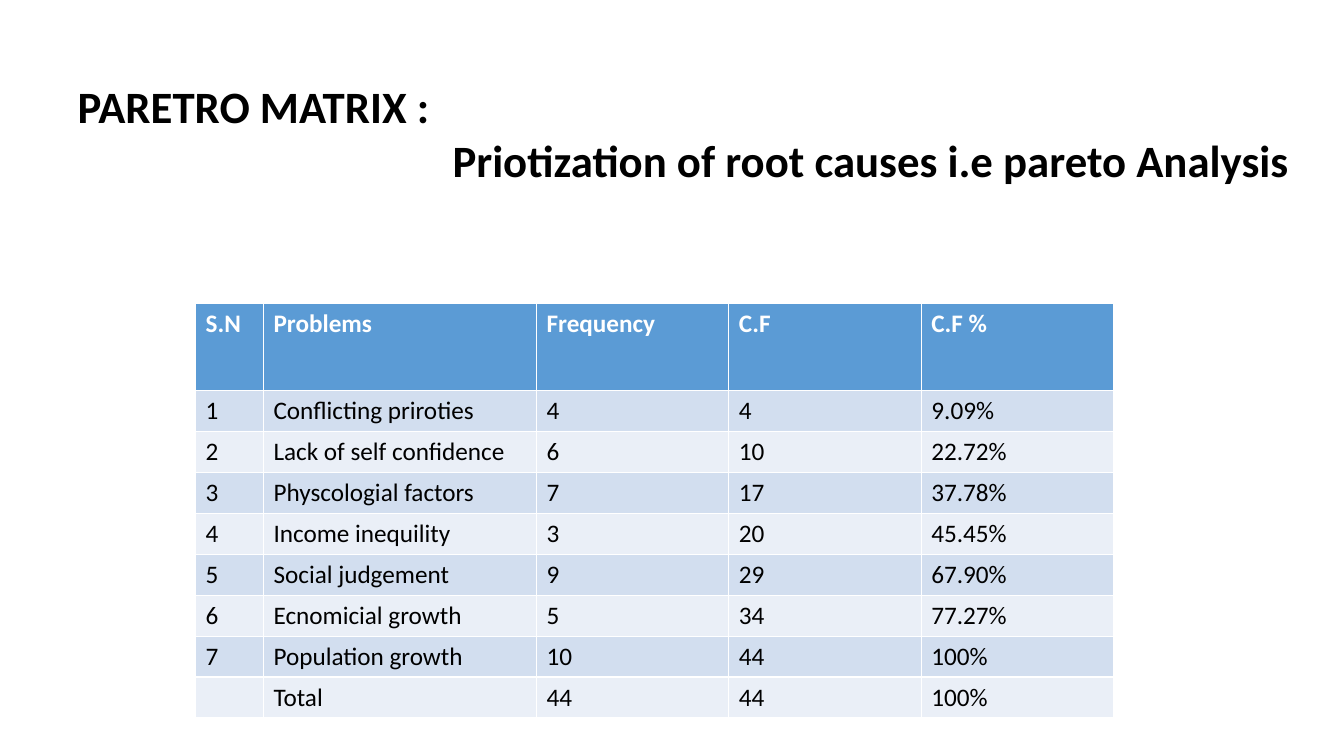
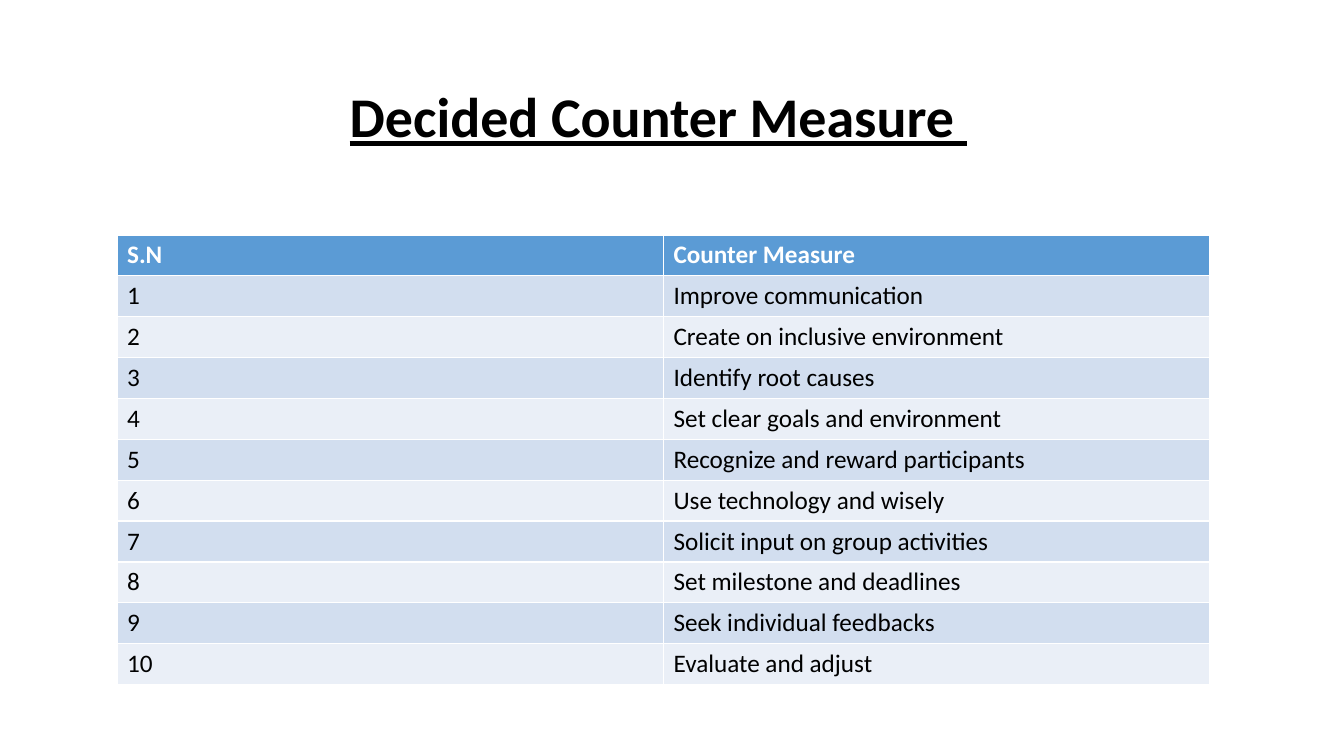
"""Build two slides: a Pareto matrix and the decided counter measures."""
import dataclasses

import pptx
import pptx.dml.color
import pptx.enum.text
import pptx.util

Cm = pptx.util.Cm
Pt = pptx.util.Pt
RGB = pptx.dml.color.RGBColor.from_string


@dataclasses.dataclass(frozen=True)
class Theme:
    """Colours, font and type sizes shared by the slides."""
    font: str = "Calibri"
    text: str = "000000"
    header_text: str = "FFFFFF"
    header: str = "5B9BD5"
    bands: tuple = ("D2DEEF", "EAEFF7")
    title_size: int = 40
    long_title_size: int = 32
    table_size: int = 18


THEME = Theme()

PARETO = [
    ("S.N", "Problems", "Frequency", "C.F", "C.F %"),
    ("1", "Conflicting priroties", "4", "4", "9.09%"),
    ("2", "Lack of self confidence", "6", "10", "22.72%"),
    ("3", "Physcologial factors", "7", "17", "37.78%"),
    ("4", "Income inequility", "3", "20", "45.45%"),
    ("5", "Social judgement", "9", "29", "67.90%"),
    ("6", "Ecnomicial growth", "5", "34", "77.27%"),
    ("7", "Population growth", "10", "44", "100%"),
    ("", "Total", "44", "44", "100%"),
]

MEASURES = [
    "Improve communication",
    "Create on inclusive environment",
    "Identify root causes",
    "Set clear goals and environment",
    "Recognize and reward participants",
    "Use technology and wisely",
    "Solicit input on group activities",
    "Set milestone and deadlines",
    "Seek individual feedbacks",
    "Evaluate and adjust",
]


def style(p, size, color, bold=False, underline=None):
    """Set the font of a whole paragraph."""
    p.font.name = THEME.font
    p.font.size = Pt(size)
    p.font.bold = bold
    p.font.underline = underline
    p.font.color.rgb = RGB(color)


def add_slide(prs, lines, box, size, underline=None, indent=0):
    """Add a title-only slide; title lines after the first are indented."""
    slide = prs.slides.add_slide(prs.slide_layouts[5])
    sp = slide.shapes.title
    sp.left, sp.top, sp.width, sp.height = map(Cm, box)
    tf = sp.text_frame
    tf.text = "\n".join(lines)
    tf.word_wrap = True
    tf.auto_size = pptx.enum.text.MSO_AUTO_SIZE.NONE
    tf.vertical_anchor = pptx.enum.text.MSO_ANCHOR.TOP
    for i, p in enumerate(tf.paragraphs):
        p.alignment = pptx.enum.text.PP_ALIGN.LEFT
        style(p, size, THEME.text, True, underline)
        if i:
            p._p.get_or_add_pPr().set("marL", str(Cm(indent)))
    return slide


def add_table(slide, rows, left, top, widths, header_height, row_height):
    """Add a table with a coloured header and banded rows."""
    heights = [header_height] + [row_height] * (len(rows) - 1)
    table = slide.shapes.add_table(
        len(rows), len(widths), Cm(left), Cm(top),
        Cm(sum(widths)), Cm(sum(heights))).table
    for column, width in zip(table.columns, widths):
        column.width = Cm(width)
    for r, values in enumerate(rows):
        table.rows[r].height = Cm(heights[r])
        fill = THEME.bands[(r - 1) % 2] if r else THEME.header
        color = THEME.text if r else THEME.header_text
        for c, value in enumerate(values):
            cell = table.cell(r, c)
            cell.text = value
            cell.fill.solid()
            cell.fill.fore_color.rgb = RGB(fill)
            style(cell.text_frame.paragraphs[0], THEME.table_size, color, r == 0)


def main():
    """Build and save the presentation."""
    prs = pptx.Presentation()
    prs.slide_width, prs.slide_height = Cm(33.87), Cm(19.05)

    slide = add_slide(
        prs,
        ["PARETRO MATRIX :", "Priotization of root causes i.e pareto Analysis"],
        (1.7, 1.85, 31.8, 3), THEME.long_title_size, indent=9.45)
    add_table(slide, PARETO, 4.93, 7.65, [1.71, 6.88] + [4.85] * 3, 2.2, 1.02)

    slide = add_slide(prs, ["Decided Counter Measure "], (8.56, 1.93, 16.7, 1.96),
                      THEME.title_size, underline=True)
    measures = [(str(i), name) for i, name in enumerate(MEASURES, 1)]
    add_table(slide, [("S.N", "Counter Measure")] + measures,
              2.95, 5.92, [13.77] * 2, 1.03, 1.03)

    prs.save("out.pptx")


if __name__ == "__main__":
    main()
